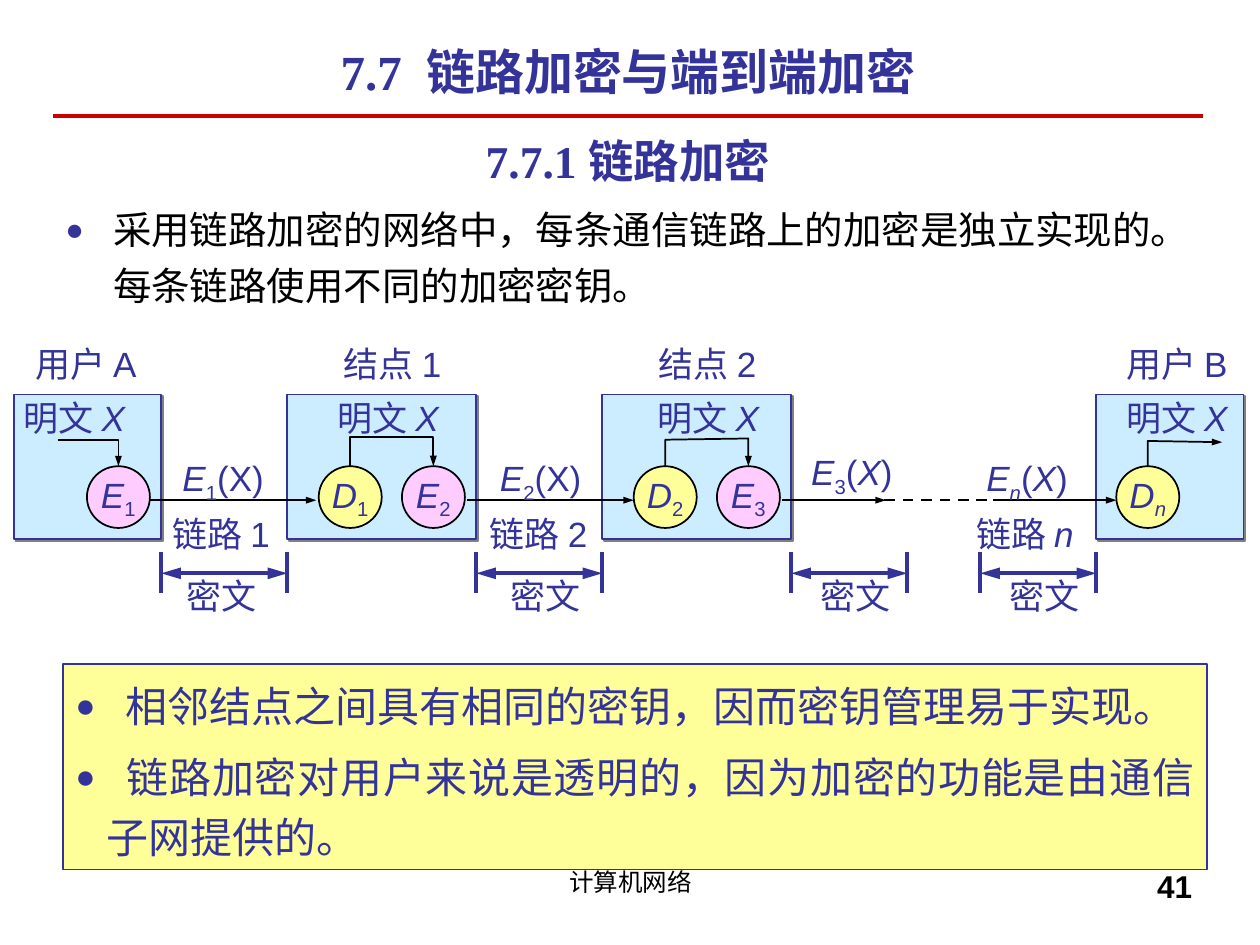
from dataclasses import dataclass
from typing import NamedTuple

from pptx import Presentation
from pptx.dml.color import RGBColor
from pptx.enum.dml import MSO_LINE
from pptx.enum.shapes import MSO_CONNECTOR, MSO_SHAPE
from pptx.enum.text import MSO_ANCHOR, MSO_AUTO_SIZE, PP_ALIGN
from pptx.oxml.ns import qn
from pptx.oxml.xmlchemy import OxmlElement
from pptx.util import Inches, Pt

RECT, OVAL = MSO_SHAPE.RECTANGLE, MSO_SHAPE.OVAL
LEFT, MID, RIGHT, JUST = PP_ALIGN.LEFT, PP_ALIGN.CENTER, PP_ALIGN.RIGHT, PP_ALIGN.JUSTIFY


@dataclass(frozen=True)
class Theme:
    blue: str = "333399"
    black: str = "000000"
    red: str = "CC0000"
    sky: str = "CCECFF"
    pink: str = "FFCCFF"
    yellow: str = "FFFF99"
    shade: str = "808080"
    serif: str = "Times New Roman"
    sans: str = "Arial"
    han: str = "Noto Sans CJK SC"
    title: int = 28
    head: int = 26
    note: int = 24
    body: int = 22
    label: int = 20
    page: int = 18
    foot: int = 14


T = Theme()


class Bit(NamedTuple):
    text: str
    slant: bool = False
    sub: bool = False


class Disc(NamedTuple):
    left: float
    key: str
    index: str


class Node(NamedTuple):
    left: float
    width: float
    name: str
    name_x: float
    plain_x: float
    discs: list[Disc]
    route: list[tuple[float, float]]


class Link(NamedTuple):
    start: float
    end: float
    text_x: float
    text_y: float
    index: Bit
    arg: Bit
    name: list[Bit]


class Span(NamedTuple):
    start: float
    end: float
    text_x: float


NODES = [
    Node(2.28, 1.5, "结点 1", 2.63, 2.58, [Disc(2.53, "D", "1"), Disc(3.19, "E", "2")],
         [(2.78, 3.7), (2.78, 3.47), (3.44, 3.47), (3.44, 3.7)]),
    Node(4.78, 1.5, "结点 2", 5.13, 5.12, [Disc(5.03, "D", "2"), Disc(5.69, "E", "3")],
         [(5.28, 3.7), (5.28, 3.49), (5.94, 3.48), (5.94, 3.7)]),
    Node(8.7, 1.17, "用户 B", 8.84, 8.84, [Disc(8.86, "D", "n")],
         [(9.11, 3.7), (9.11, 3.5), (9.7, 3.51)]),
    Node(0.11, 1.17, "用户 A", 0.18, 0.09, [Disc(0.69, "E", "1")],
         [(0.46, 3.49), (0.94, 3.49), (0.94, 3.7)]),
]
LINKS = [
    Link(1.19, 2.51, 1.27, 3.5, Bit("1", False, True), Bit("X"), [Bit("链路 1")]),
    Link(3.71, 5.03, 3.79, 3.5, Bit("2", False, True), Bit("X"), [Bit("链路 2")]),
    Link(7.88, 8.86, 7.65, 3.5, Bit("n", True, True), Bit("X", True),
         [Bit("链路 "), Bit("n", True)]),
    Link(6.21, 7.03, 6.26, 3.45, Bit("3", False, True), Bit("X", True), []),
]
SPANS = [Span(1.28, 2.28, 1.38), Span(3.78, 4.78, 3.95),
         Span(6.28, 7.2, 6.41), Span(7.78, 8.7, 7.91)]
NOTES = ["相邻结点之间具有相同的密钥，因而密钥管理易于实现。",
         "链路加密对用户来说是透明的，因为加密的功能是由通信子网提供的。"]


def tint(code: str) -> RGBColor:
    return RGBColor.from_string(code)


def child(root, tag: str, **attrs: str):
    node = OxmlElement(tag)
    for key, value in attrs.items():
        node.set(key, value)
    root.append(node)
    return node


def style(run, size: int, color: str = T.blue, face: str = T.sans, bold: bool = False) -> None:
    font = run.font
    font.size, font.name, font.bold = Pt(size), face, bold
    font.color.rgb = tint(color)
    child(run._r.get_or_add_rPr(), "a:ea", typeface=T.han)


def write(para, bits: list[Bit]) -> None:
    """Fill a paragraph with diagram label runs."""
    for bit in bits:
        run = para.add_run()
        run.text = bit.text
        style(run, T.label)
        run.font.italic = bit.slant
        if bit.sub:
            run.font._element.set("baseline", "-25000")


def bullet(para, margin: float, stop: float = 0) -> None:
    """Add a hanging round bullet and, if given, a tab stop."""
    props = para._p.get_or_add_pPr()
    props.set("marL", str(Inches(margin)))
    props.set("indent", str(-Inches(margin)))
    child(child(props, "a:buClr"), "a:srgbClr", val=T.blue)
    child(props, "a:buSzPct", val="80000")
    child(props, "a:buFont", typeface=T.sans)
    child(props, "a:buChar", char="●")
    if stop:
        child(child(props, "a:tabLst"), "a:tab", pos=str(Inches(stop)), algn="l")


def frame(slide, x: float, y: float, w: float, h: float, wrap: bool = False):
    text = slide.shapes.add_textbox(Inches(x), Inches(y), Inches(w), Inches(h)).text_frame
    text.word_wrap = wrap
    text.auto_size = MSO_AUTO_SIZE.NONE if wrap else MSO_AUTO_SIZE.SHAPE_TO_FIT_TEXT
    return text


def label(slide, x: float, y: float, w: float, bits: list[Bit]) -> None:
    write(frame(slide, x, y, w, 0.44).paragraphs[0], bits)


def block(slide, kind, x: float, y: float, w: float, h: float, fill: str, edge: str, width: float):
    shape = slide.shapes.add_shape(kind, Inches(x), Inches(y), Inches(w), Inches(h))
    shape.shadow.inherit = False
    shape.fill.solid()
    shape.fill.fore_color.rgb = tint(fill)
    shape.line.color.rgb = tint(edge)
    shape.line.width = Pt(width)
    return shape


def heads(shape, ends: str, width: str = "sm", size: str = "med") -> None:
    """Put triangles on the ends named in a string of head and tail."""
    for end in ends.split():
        child(shape.line._get_or_add_ln(), f"a:{end}End", type="triangle", w=width, len=size)


def line(slide, x1: float, y1: float, x2: float, y2: float, color: str, width: float):
    rule = slide.shapes.add_connector(MSO_CONNECTOR.STRAIGHT, Inches(x1), Inches(y1),
                                      Inches(x2), Inches(y2))
    rule.line.color.rgb = tint(color)
    rule.line.width = Pt(width)
    child(rule._element.spPr, "a:effectLst")
    return rule


def draw_node(slide, node: Node) -> None:
    box = block(slide, RECT, node.left, 3.13, node.width, 1.15, T.sky, T.blue, 1)
    cast = child(box._element.spPr.find(qn("a:effectLst")), "a:outerShdw",
                 dist=str(Pt(1.4)), dir="2700000", algn="ctr", rotWithShape="0")
    child(cast, "a:srgbClr", val=T.shade)
    for disc in node.discs:
        fill = T.pink if disc.key == "E" else T.yellow
        text = block(slide, OVAL, disc.left, 3.7, 0.5, 0.49, fill, T.black, 1).text_frame
        text.word_wrap = False
        text.vertical_anchor = MSO_ANCHOR.MIDDLE
        text.paragraphs[0].alignment = MID
        write(text.paragraphs[0], [Bit(disc.key, True), Bit(disc.index, disc.index == "n", True)])
    first, *rest = [(Inches(x), Inches(y)) for x, y in node.route]
    pen = slide.shapes.build_freeform(*first)
    pen.add_line_segments(rest, close=False)
    route = pen.convert_to_shape()
    route.shadow.inherit = False
    route.fill.background()
    route.line.color.rgb = tint(T.black)
    route.line.width = Pt(1)
    heads(route, "tail")
    label(slide, node.plain_x, 3.1, 1.08, [Bit("明文 "), Bit("X", True)])
    label(slide, node.name_x, 2.67, 1.08, [Bit(node.name)])


def draw_link(slide, link: Link) -> None:
    heads(line(slide, link.start, 3.97, link.end, 3.97, T.black, 1.5), "tail")
    text = frame(slide, link.text_x, link.text_y, 1.06 if link.name else 0.96, 0.96)
    para = text.paragraphs[0]
    para.line_spacing = 1.2
    para._p.get_or_add_pPr().set("marL", str(Inches(0.08)))
    write(para, [Bit("E", True), link.index, Bit("("), link.arg, Bit(")")])
    if link.name:
        para = text.add_paragraph()
        para.line_spacing = 1.2
        write(para, link.name)


def draw_span(slide, span: Span) -> None:
    heads(line(slide, span.start, 4.55, span.end, 4.55, T.blue, 2.25), "head tail", "med", "lg")
    for x in (span.start, span.end):
        line(slide, x, 4.38, x, 4.71, T.blue, 2.25)
    label(slide, span.text_x, 4.51, 0.79, [Bit("密文")])


def draw_text(slide) -> None:
    """Write the title, the footer and the lead text."""
    title = slide.shapes.title
    title.left, title.top, title.width, title.height = map(Inches, (0.42, 0.25, 9.13, 0.67))
    text = title.text_frame
    text.text = "7.7  链路加密与端到端加密"
    text.vertical_anchor = MSO_ANCHOR.MIDDLE
    text.margin_top, text.margin_bottom = 0, Inches(0.05)
    text.paragraphs[0].alignment = MID
    style(text.paragraphs[0].runs[0], T.title, face=T.serif, bold=True)
    line(slide, 0.42, 0.92, 9.55, 0.92, T.red, 2)
    for x, w, words, side, size in ((3.42, 3.17, "计算机网络", MID, T.foot),
                                    (7.23, 2.33, "41", RIGHT, T.page)):
        para = frame(slide, x, 6.83, w, 0.52, True).paragraphs[0]
        para.text, para.alignment = words, side
        style(para.runs[0], size, T.black, bold=size == T.page)
    text = frame(slide, 0.42, 0.92, 9.13, 5.92, True)
    text.text = "7.7.1 链路加密\n采用链路加密的网络中，每条通信链路上的加密是独立实现的。每条链路使用不同的加密密钥。"
    head, lead = text.paragraphs
    head.alignment, lead.alignment = MID, LEFT
    head.line_spacing = lead.line_spacing = 1.2
    lead.space_before = Pt(5.5)
    bullet(lead, 0.38)
    style(head.runs[0], T.head, face=T.serif, bold=True)
    style(lead.runs[0], T.body, T.black)


def draw_notes(slide) -> None:
    text = block(slide, RECT, 0.5, 5.27, 9.08, 1.63, T.yellow, T.blue, 0.75).text_frame
    text.word_wrap = True
    text.vertical_anchor = MSO_ANCHOR.TOP
    text.text = "\n".join("\t" + note for note in NOTES)
    for rank, para in enumerate(text.paragraphs):
        para.alignment, para.line_spacing = JUST, 1.2
        if rank:
            para.space_before = Pt(6)
        bullet(para, 0.25, 0.4)
        for run in para.runs:
            style(run, T.note, face=T.han)


def main() -> None:
    deck = Presentation()
    deck.slide_width, deck.slide_height = Inches(10), Inches(7.5)
    slide = deck.slides.add_slide(deck.slide_layouts[5])
    draw_text(slide)
    for node in NODES:
        draw_node(slide, node)
    for link in LINKS:
        draw_link(slide, link)
    line(slide, 7.02, 3.97, 7.87, 3.97, T.black, 1.5).line.dash_style = MSO_LINE.DASH
    for span in SPANS:
        draw_span(slide, span)
    draw_notes(slide)
    deck.save("out.pptx")


if __name__ == "__main__":
    main()
